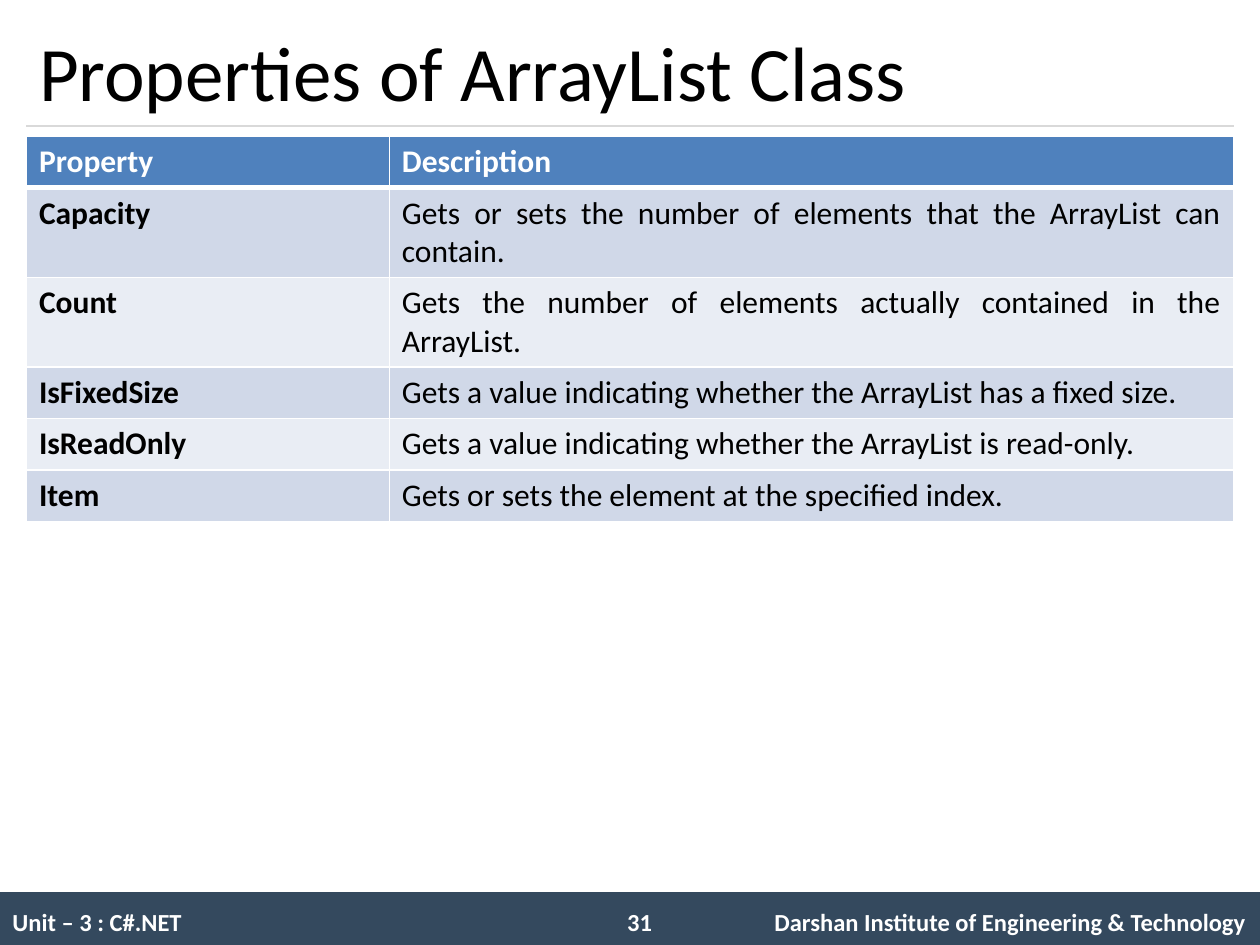
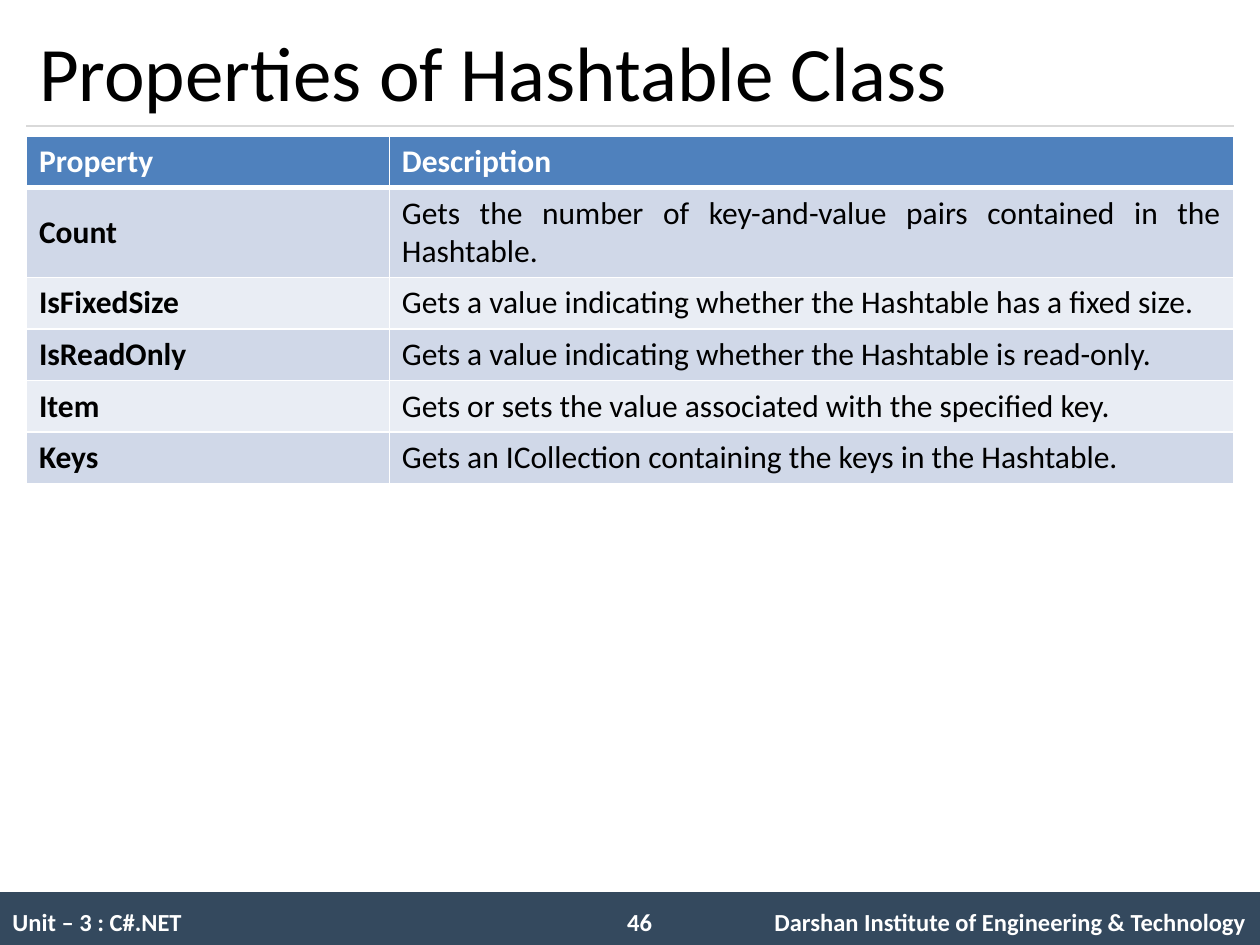
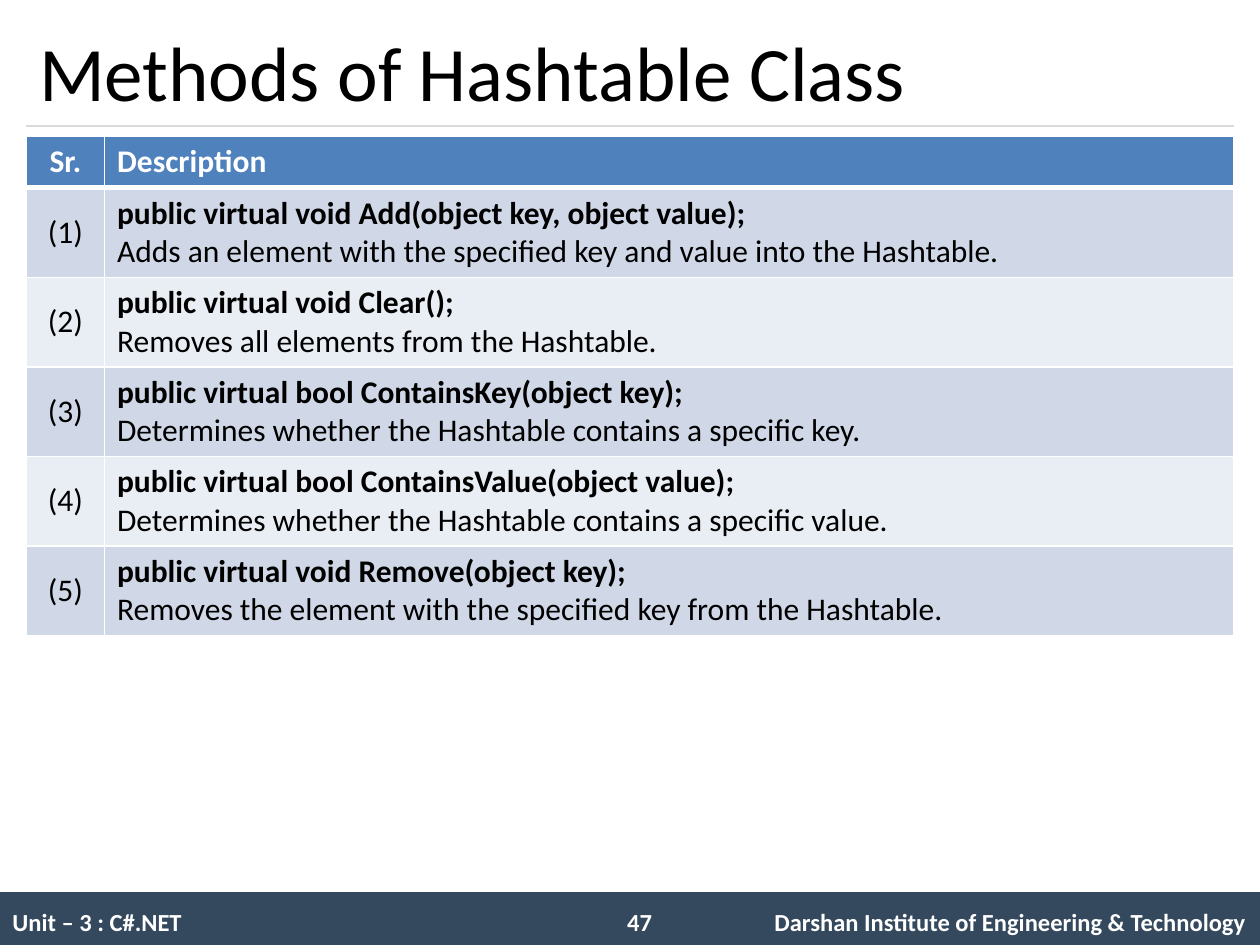
import pptx
import pptx.dml.color
import pptx.enum.shapes
import pptx.enum.text
import pptx.oxml
import pptx.oxml.ns
import pptx.util
from pptx.util import Inches

HUES = {"ink": "000000", "white": "FFFFFF", "band": "34495E", "rule": "D9D9D9",
        "head": "4F81BD", "odd": "D0D8E8", "even": "E9EDF4"}
FONT = "Calibri"
LEFT, WIDE = 0.21, 9.58
ALIGN = pptx.enum.text.PP_ALIGN
ANCHOR = pptx.enum.text.MSO_ANCHOR


def hue(name):
    return pptx.dml.color.RGBColor.from_string(HUES[name])


def put(para, text, size=18, bold=False, color="ink", align=ALIGN.LEFT):
    """Add a run of formatted text to a paragraph."""
    para.alignment = align
    run = para.add_run()
    run.text = text
    run.font.name = FONT
    run.font.size = pptx.util.Pt(size)
    run.font.bold = bold
    run.font.color.rgb = hue(color)


class Deck:
    def __init__(self):
        self.show = pptx.Presentation()
        self.show.slide_width, self.show.slide_height = Inches(10), Inches(7.5)
        self.slide = None

    def page(self, title, number):
        self.slide = self.show.slides.add_slide(self.show.slide_layouts[5])
        self.band(number)
        self.rule()
        self.title(title)

    def title(self, text):
        box = self.slide.shapes.title
        box.left, box.top = Inches(LEFT), Inches(0.12)
        box.width, box.height = Inches(WIDE), Inches(0.88)
        box.text_frame.vertical_anchor = ANCHOR.MIDDLE
        put(box.text_frame.paragraphs[0], text, size=44)

    def band(self, number):
        bar = self.slide.shapes.add_shape(
            pptx.enum.shapes.MSO_SHAPE.RECTANGLE,
            Inches(0), Inches(7.08), Inches(10), Inches(0.42))
        bar.shadow.inherit = False
        bar.fill.solid()
        bar.fill.fore_color.rgb = hue("band")
        bar.line.fill.background()
        bar.text_frame.word_wrap = True
        bar.text_frame.vertical_anchor = ANCHOR.MIDDLE
        para = bar.text_frame.paragraphs[0]
        # Tab stops for the page number and the institute
        stops = "".join(f'<a:tab pos="{Inches(at)}" algn="{side}"/>'
                        for at, side in ((4.88, "l"), (9.79, "r")))
        para._p.get_or_add_pPr().append(pptx.oxml.parse_xml(
            f'<a:tabLst {pptx.oxml.ns.nsdecls("a")}>{stops}</a:tabLst>'))
        put(para, "Unit – 3 : C#.NET", size=14, bold=True, color="white")
        for text in (str(number), "Darshan Institute of Engineering & Technology"):
            put(para, "\t", color="white")
            put(para, text, size=14, bold=True, color="white")

    def rule(self):
        line = self.slide.shapes.add_connector(
            pptx.enum.shapes.MSO_CONNECTOR.STRAIGHT,
            Inches(LEFT), Inches(1), Inches(LEFT + WIDE), Inches(1))
        line.line.color.rgb = hue("rule")
        line.line.width = pptx.util.Pt(0.75)
        line._element.spPr.append(pptx.oxml.parse_xml(
            f'<a:effectLst {pptx.oxml.ns.nsdecls("a")}/>'))

    def table(self, head, rows, first, aligns, bold, anchor):
        """Draw a table; first is the width of the first column."""
        data = [head] + rows
        high = 0.41
        grid = self.slide.shapes.add_table(
            len(data), len(head), Inches(LEFT), Inches(1.08),
            Inches(WIDE), Inches(high * len(data))).table
        for col, width in zip(grid.columns, (first, WIDE - first)):
            col.width = Inches(width)
        for r, row in enumerate(data):
            grid.rows[r].height = Inches(high)
            for c, text in enumerate(row):
                cell = grid.cell(r, c)
                self.edge(cell, r)
                cell.fill.solid()
                cell.fill.fore_color.rgb = hue(
                    "head" if r == 0 else "odd" if r % 2 else "even")
                cell.vertical_anchor = anchor
                lines = text.split("\n")
                align = aligns[c]
                if r == 0 and align == ALIGN.JUSTIFY:
                    align = ALIGN.LEFT
                for n, line in enumerate(lines):
                    frame = cell.text_frame
                    para = frame.add_paragraph() if n else frame.paragraphs[0]
                    strong = r == 0 or bold[c] or (len(lines) > 1 and n == 0)
                    put(para, line, bold=strong, align=align,
                        color="ink" if r else "white")

    def edge(self, cell, r):
        """White borders, thicker between the head and the first row."""
        widths = {"L": 1, "R": 1, "T": 3 if r == 1 else 1, "B": 1 if r else 3}
        for side, width in widths.items():
            cell._tc.get_or_add_tcPr().append(pptx.oxml.parse_xml(
                f'<a:ln{side} {pptx.oxml.ns.nsdecls("a")} w="{pptx.util.Pt(width)}">'
                f'<a:solidFill><a:srgbClr val="{HUES["white"]}"/></a:solidFill>'
                f'</a:ln{side}>'))

    def props(self, rows, anchor):
        self.table(("Property", "Description"), rows, 2.88,
                   (ALIGN.LEFT, ALIGN.JUSTIFY), (True, False), anchor)


def main():
    deck = Deck()

    # ArrayList properties
    deck.page("Properties of ArrayList Class", 31)
    deck.props([
        ("Capacity", "Gets or sets the number of elements that the ArrayList can contain."),
        ("Count", "Gets the number of elements actually contained in the ArrayList."),
        ("IsFixedSize", "Gets a value indicating whether the ArrayList has a fixed size."),
        ("IsReadOnly", "Gets a value indicating whether the ArrayList is read-only."),
        ("Item", "Gets or sets the element at the specified index."),
    ], ANCHOR.TOP)

    # Hashtable properties
    deck.page("Properties of Hashtable Class", 46)
    deck.props([
        ("Count", "Gets the number of key-and-value pairs contained in the Hashtable."),
        ("IsFixedSize", "Gets a value indicating whether the Hashtable has a fixed size."),
        ("IsReadOnly", "Gets a value indicating whether the Hashtable is read-only."),
        ("Item", "Gets or sets the value associated with the specified key."),
        ("Keys", "Gets an ICollection containing the keys in the Hashtable."),
    ], ANCHOR.MIDDLE)

    # Hashtable methods
    deck.page("Methods of Hashtable Class", 47)
    calls = [
        ("void Add(object key, object value);",
         "Adds an element with the specified key and value into the Hashtable."),
        ("void Clear();", "Removes all elements from the Hashtable."),
        ("bool ContainsKey(object key);",
         "Determines whether the Hashtable contains a specific key."),
        ("bool ContainsValue(object value);",
         "Determines whether the Hashtable contains a specific value."),
        ("void Remove(object key);",
         "Removes the element with the specified key from the Hashtable."),
    ]
    rows = [(f"({n})", f"public virtual {call}\n{note}")
            for n, (call, note) in enumerate(calls, 1)]
    deck.table(("Sr.", "Description"), rows, 0.62,
               (ALIGN.CENTER, ALIGN.LEFT), (False, False), ANCHOR.MIDDLE)

    deck.show.save("out.pptx")


if __name__ == "__main__":
    main()
